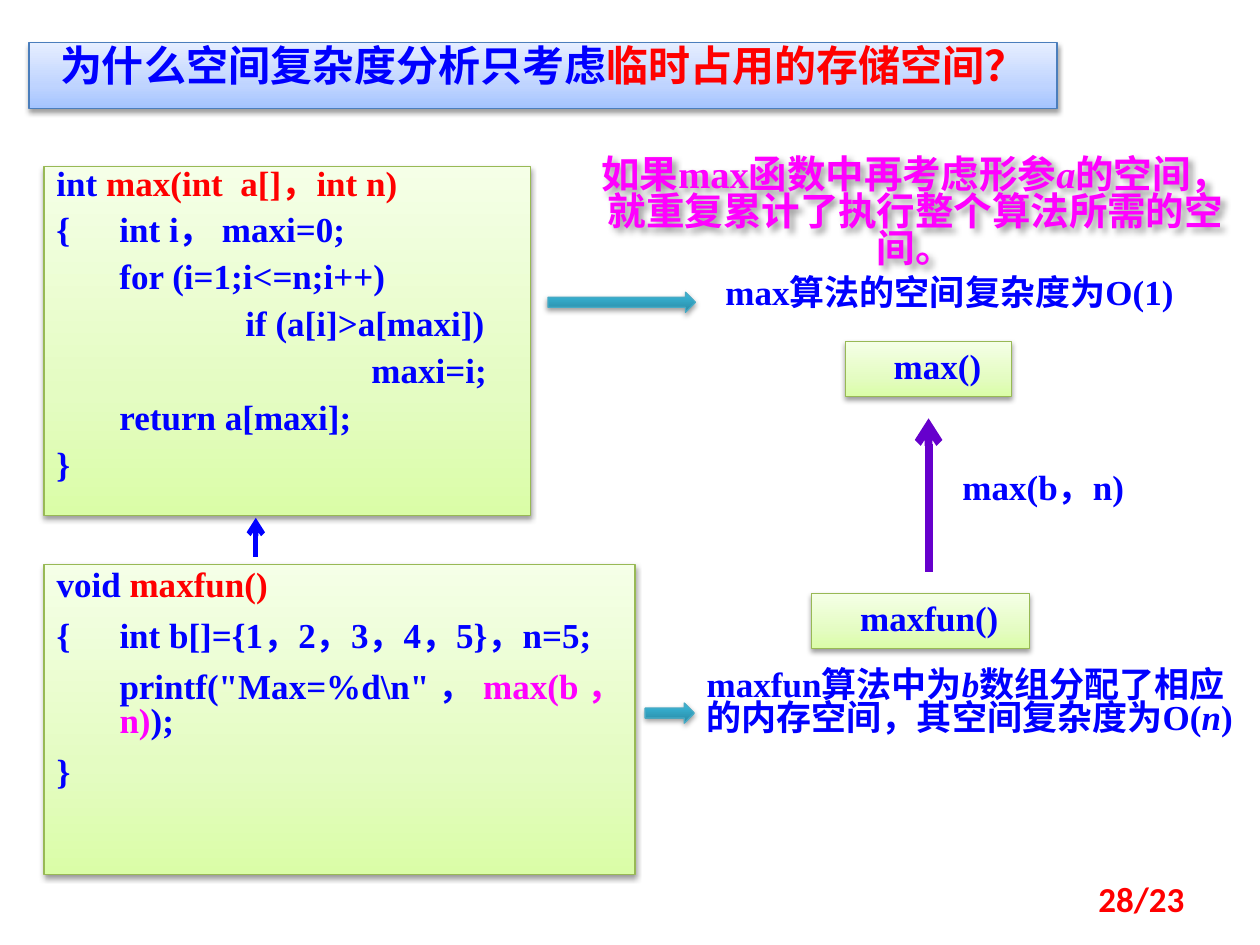
from lxml import etree
from pptx import Presentation
from pptx.dml.color import RGBColor
from pptx.enum.shapes import MSO_CONNECTOR, MSO_SHAPE
from pptx.enum.text import MSO_ANCHOR, MSO_AUTO_SIZE, PP_ALIGN
from pptx.oxml.ns import qn
from pptx.util import Inches, Pt

LEFT, CENTER, RIGHT, JUSTIFY = PP_ALIGN.LEFT, PP_ALIGN.CENTER, PP_ALIGN.RIGHT, PP_ALIGN.JUSTIFY
TOP, MIDDLE = MSO_ANCHOR.TOP, MSO_ANCHOR.MIDDLE
RECTANGLE, RIGHT_ARROW = MSO_SHAPE.RECTANGLE, MSO_SHAPE.RIGHT_ARROW
STRAIGHT = MSO_CONNECTOR.STRAIGHT
NO_AUTOFIT = MSO_AUTO_SIZE.NONE

WIDTH, HEIGHT = Inches(10), Inches(7.5)
SERIF, SANS = "Times New Roman", "Calibri"

BLUE = RGBColor(0x00, 0x00, 0xFF)
RED = RGBColor(0xFF, 0x00, 0x00)
PINK = RGBColor(0xFF, 0x00, 0xFF)
PURPLE = RGBColor(0x66, 0x00, 0xCC)

# Each style: outline, then gradient stops from bottom to top
BLUE_PANEL = (RGBColor(0x4B, 0x7E, 0xBC), (
    (0, RGBColor(0xA4, 0xC4, 0xFF)), (35, RGBColor(0xBF, 0xD4, 0xFF)),
    (100, RGBColor(0xE6, 0xEE, 0xFF))))
GREEN_PANEL = (RGBColor(0x98, 0xB9, 0x55), (
    (0, RGBColor(0xDA, 0xFD, 0xA7)), (35, RGBColor(0xE4, 0xFC, 0xC2)),
    (100, RGBColor(0xF5, 0xFF, 0xE7))))
TEAL_ARROW = (RGBColor(0x46, 0xAA, 0xC5), (
    (0, RGBColor(0x2A, 0x88, 0xA2)), (80, RGBColor(0x37, 0xB1, 0xD2)),
    (100, RGBColor(0x34, 0xB4, 0xD6))))


def across(share):
    """Percent of the slide width."""
    return round(WIDTH * share / 100)


def down(share):
    """Percent of the slide height."""
    return round(HEIGHT * share / 100)


def area(left, top, width, height):
    return across(left), down(top), across(width), down(height)


def add_color(parent, color, alpha=100):
    node = etree.SubElement(parent, qn("a:srgbClr"), val=str(color))
    if alpha < 100:
        etree.SubElement(node, qn("a:alpha"), val=str(alpha * 1000))


def add_shadow(shape, alpha=38, blur=3.1, distance=1.6, angle=90):
    shape.shadow.inherit = False
    effects = shape.element.spPr.find(qn("a:effectLst"))
    shadow = etree.SubElement(
        effects, qn("a:outerShdw"), blurRad=str(Pt(blur)), dist=str(Pt(distance)),
        dir=str(angle * 60000), algn="ctr", rotWithShape="0")
    add_color(shadow, RGBColor(0, 0, 0), alpha)


def style_panel(shape, style):
    outline, stops = style
    shape.fill.gradient()
    gradient = shape.element.spPr.find(qn("a:gradFill"))
    stop_list = gradient.find(qn("a:gsLst"))
    for stop in list(stop_list):
        stop_list.remove(stop)
    for position, color in stops:
        stop = etree.SubElement(stop_list, qn("a:gs"), pos=str(position * 1000))
        add_color(stop, color)
    gradient.find(qn("a:lin")).set("ang", str(270 * 60000))
    shape.line.color.rgb = outline
    shape.line.width = Pt(0.75)
    add_shadow(shape)


def write(shape, paragraphs, size=20, font=SERIF, align=LEFT, anchor=TOP,
          spacing=0.8, hanging=False):
    """Each paragraph is a list of (text, color) or (text, color, italic)."""
    frame = shape.text_frame
    frame.word_wrap = True
    frame.auto_size = NO_AUTOFIT
    frame.vertical_anchor = anchor
    for number, spans in enumerate(paragraphs):
        para = frame.add_paragraph() if number else frame.paragraphs[0]
        para.alignment = align
        para.line_spacing = spacing
        # Space before is half a line
        para.space_before = Pt(0)
        properties = para._p.get_or_add_pPr()
        before = properties.find(qn("a:spcBef"))
        before.clear()
        etree.SubElement(before, qn("a:spcPct"), val="50000")
        # Keep punctuation inside the box, with tab stops an inch apart
        properties.set("hangingPunct", "0")
        properties.set("defTabSz", str(Inches(1)))
        if hanging:
            properties.set("marL", str(Inches(0.5)))
            properties.set("indent", str(-Inches(0.5)))
        for text, color, *italic in spans:
            span = para.add_run()
            span.text = text
            span.font.name = font
            span.font.size = Pt(size)
            span.font.bold = True
            span.font.italic = bool(italic)
            span.font.color.rgb = color


def add_panel(page, place, paragraphs, **options):
    panel = page.shapes.add_shape(RECTANGLE, *area(*place))
    style_panel(panel, GREEN_PANEL)
    write(panel, paragraphs, **options)
    return panel


def add_call_box(page, place, name):
    box = add_panel(page, place, [[(name, BLUE)]], align=CENTER, anchor=MIDDLE)
    box.text_frame.margin_left = Inches(0.24)


def add_text(page, place, paragraphs, **options):
    box = page.shapes.add_textbox(*area(*place))
    write(box, paragraphs, **options)
    return box


def add_block_arrow(page, place):
    style_panel(page.shapes.add_shape(RIGHT_ARROW, *area(*place)), TEAL_ARROW)


def add_up_arrow(page, x, bottom, top, color, weight):
    arrow = page.shapes.add_connector(
        STRAIGHT, across(x), down(bottom), across(x), down(top))
    arrow.line.color.rgb = color
    arrow.line.width = Pt(weight)
    etree.SubElement(arrow.line._get_or_add_ln(), qn("a:tailEnd"), type="arrow")
    etree.SubElement(arrow.element.spPr, qn("a:effectLst"))


def add_title(page):
    title = page.shapes.title
    title.left, title.top, title.width, title.height = area(2.3, 4.53, 81.6, 6.93)
    style_panel(title, BLUE_PANEL)
    write(title, [[("为什么空间复杂度分析只考虑", BLUE), ("临时占用的存储空间？", RED)]],
          size=24, font=SANS, align=CENTER, hanging=True)


def add_code(page):
    add_panel(page, (3.5, 17.6, 38.6, 36.93), [
        [("int ", BLUE), ("max(int  a[]，int n)", RED)],
        [("{\tint i， maxi=0;", BLUE)],
        [("\tfor (i=1;i<=n;i++)", BLUE)],
        [("\t\tif (a[i]>a[maxi])", BLUE)],
        [("\t\t\tmaxi=i;", BLUE)],
        [("\treturn a[maxi];", BLUE)],
        [("}", BLUE)],
    ], align=JUSTIFY, spacing=0.7, hanging=True)
    add_panel(page, (3.5, 59.73, 46.9, 32.8), [
        [("void ", BLUE), ("maxfun()", RED)],
        [("{\tint b[]={1，2，3，4，5}，n=5;", BLUE)],
        [("\tprintf(\"Max=%d\\n\"，", BLUE), ("max(b，n)", PINK), (");", BLUE)],
        [("}", BLUE)],
    ], align=JUSTIFY, hanging=True)
    add_up_arrow(page, 20.3, 58.93, 54.8, BLUE, 3)


def add_call_diagram(page):
    add_call_box(page, (64.4, 62.8, 17.3, 5.87), "maxfun()")
    add_call_box(page, (67.1, 36.13, 13.2, 5.87), "max()")
    add_up_arrow(page, 73.7, 60.53, 44.27, PURPLE, 4.5)
    add_text(page, (75.3, 49.47, 15, 6.27), [[("max(b，n)", BLUE)]],
             align=CENTER, hanging=True)


def add_conclusions(page):
    remark = add_text(page, (45.3, 16.13, 54.7, 12.27), [[
        ("如果max函数中再考虑形参", PINK), ("a", PINK, True),
        ("的空间，就重复累计了执行整个算法所需的空间。", PINK)]], size=22, align=CENTER)
    add_shadow(remark, alpha=40, blur=4, distance=3, angle=45)
    add_text(page, (56.6, 28.8, 40.6, 5.6), [[("max算法的空间复杂度为O(1)", BLUE)]])
    add_block_arrow(page, (43.5, 30.93, 11.7, 2.13))
    add_text(page, (55.1, 70.27, 44.5, 11.2), [[
        ("maxfun算法中为", BLUE), ("b", BLUE, True),
        ("数组分配了相应的内存空间，其空间复杂度为O(", BLUE),
        ("n", BLUE, True), (")", BLUE)]])
    add_block_arrow(page, (51.2, 74.4, 3.9, 2.13))


def main():
    deck = Presentation()
    deck.slide_width, deck.slide_height = WIDTH, HEIGHT
    page = deck.slides.add_slide(deck.slide_layouts.get_by_name("Title Only"))
    add_title(page)
    add_code(page)
    add_call_diagram(page)
    add_conclusions(page)
    # Page number
    add_text(page, (71.7, 92.4, 23.3, 5.33), [[("28/23", RED)]],
             font=SANS, align=RIGHT, anchor=MIDDLE, spacing=1.0)
    deck.save("out.pptx")


if __name__ == "__main__":
    main()
